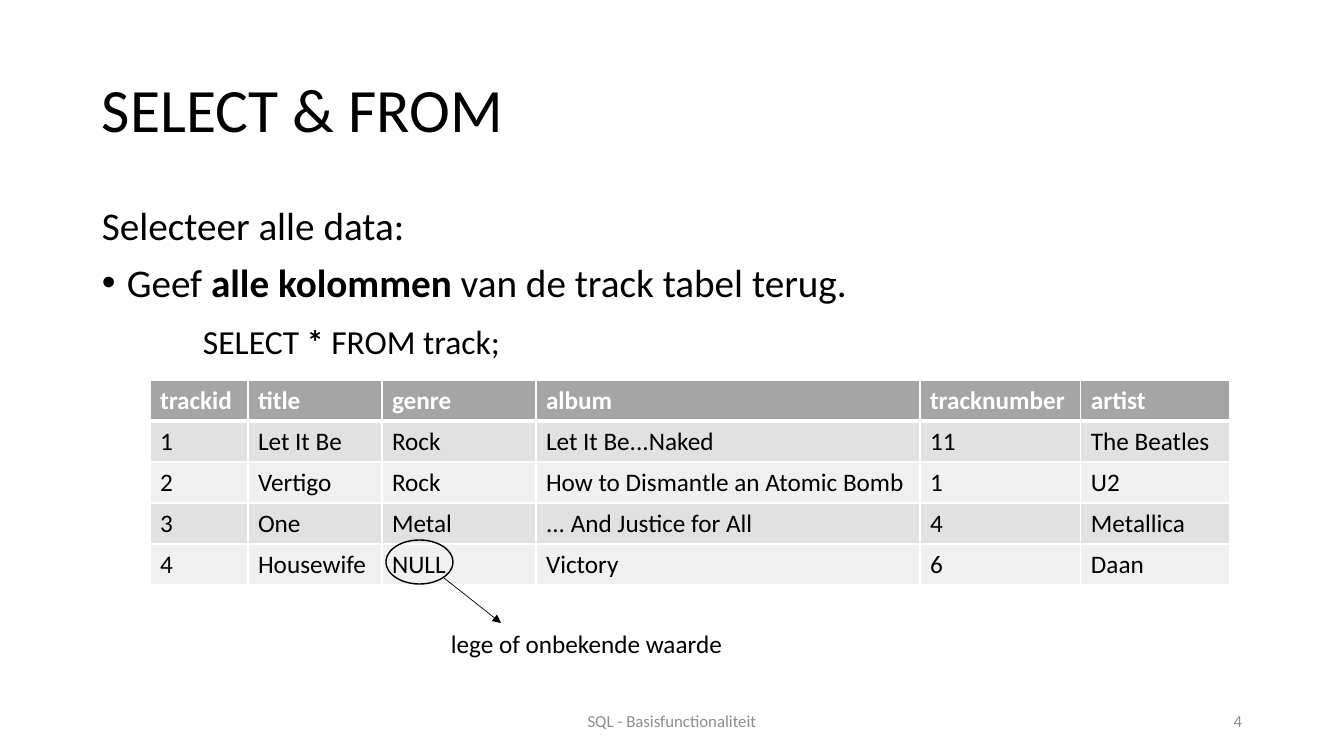
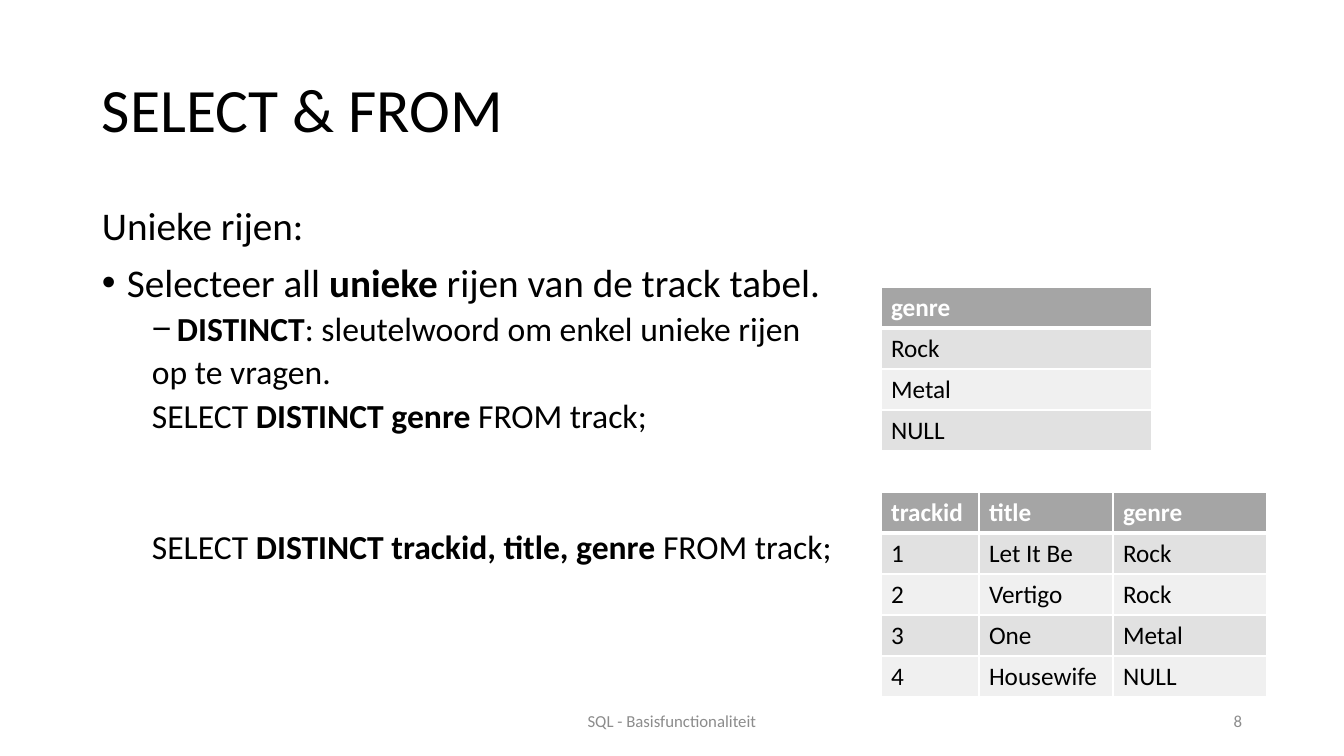
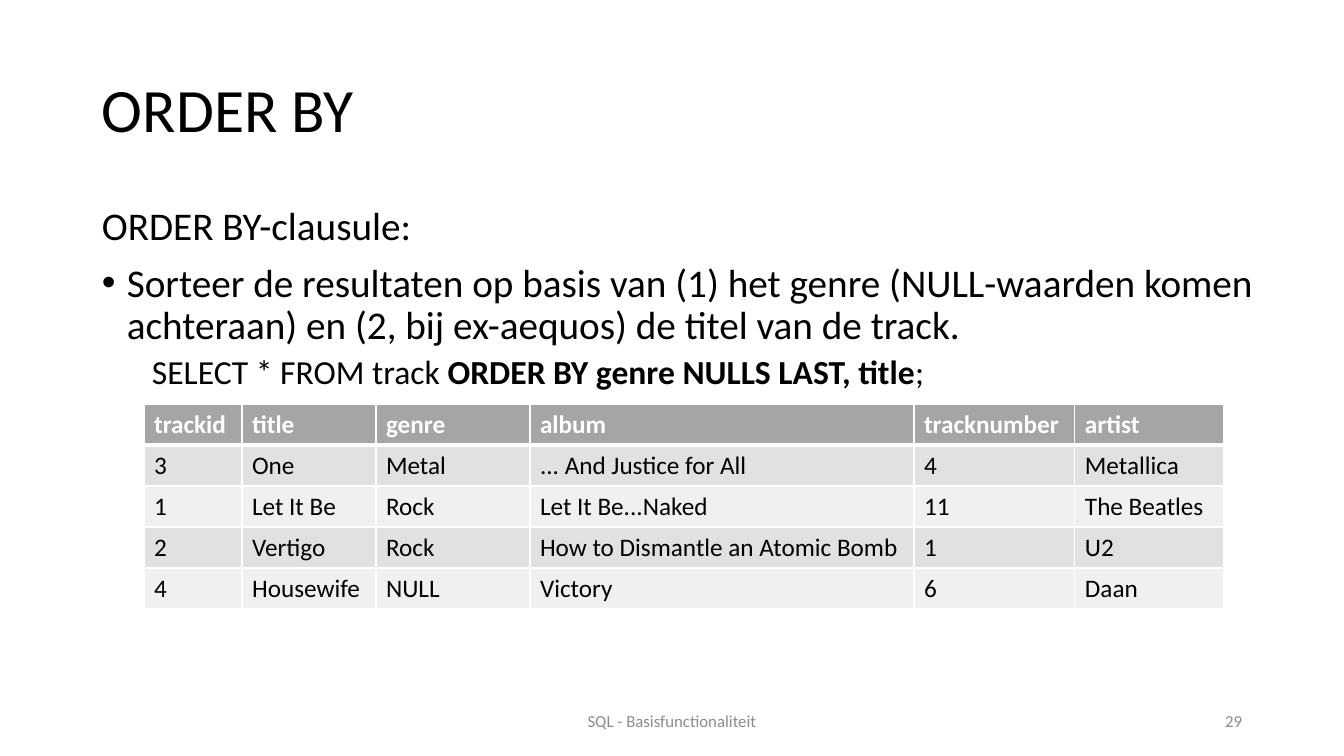
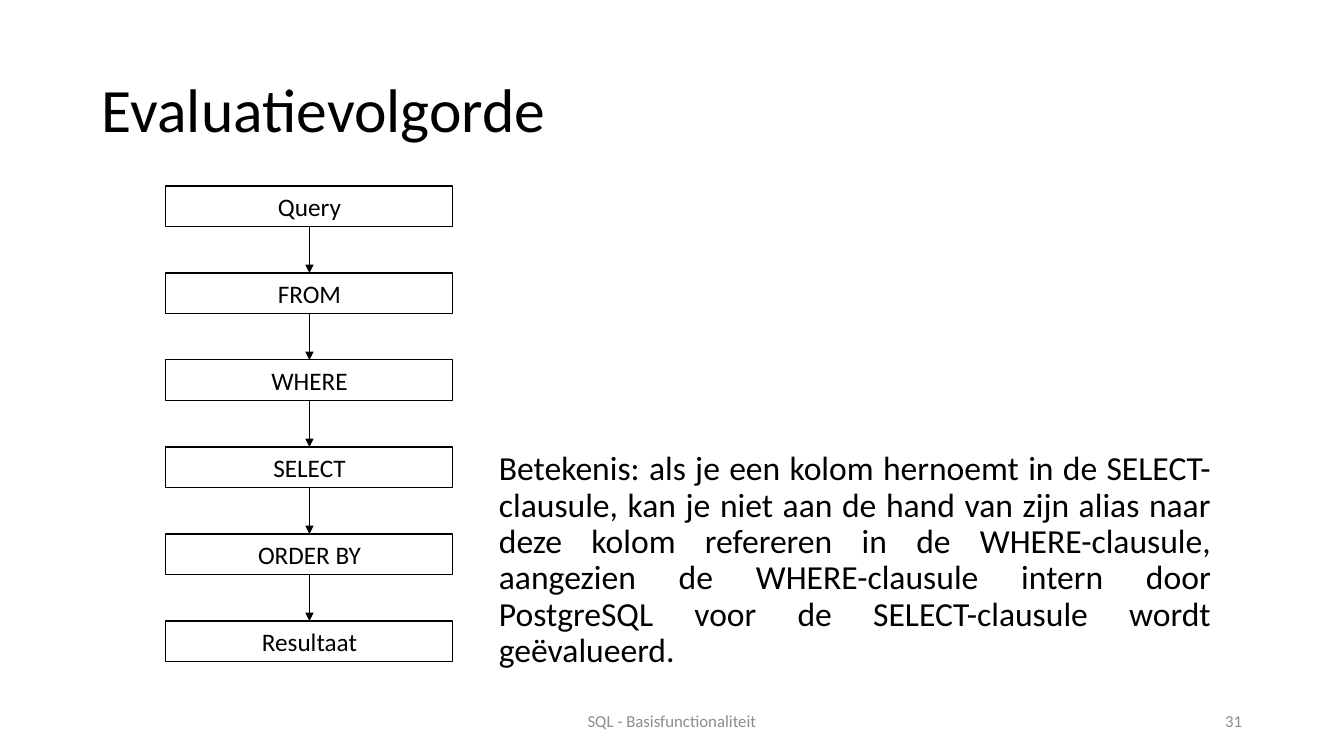
from itertools import pairwise

from lxml.etree import SubElement
from pptx import Presentation
from pptx.dml.color import RGBColor
from pptx.enum.shapes import MSO_CONNECTOR as Connector, MSO_SHAPE as Preset
from pptx.enum.text import MSO_ANCHOR as Anchor, PP_ALIGN as Align
from pptx.oxml.ns import qn
from pptx.util import Emu, Pt

FONT = "Calibri"
BLACK, WHITE, FOOTER_GREY = "000000", "FFFFFF", "8C8C8C"
HEADER_GREY, BANDS = "A5A5A5", ("E1E1E1", "F0F0F0")
FOOTER = "SQL - Basisfunctionaliteit"
TITLE_BOX = (92, 40, 1159, 146)
BODY_BOX = (92, 202, 1159, 480)
FOOTER_BOX = (445, 701, 454, 40)
NUMBER_BOX = (950, 701, 302, 40)
ROW_HEIGHT = 41
COLUMN_WIDTHS = (98, 134, 154, 384, 161, 149)
COLUMNS = ("trackid", "title", "genre", "album", "tracknumber", "artist")
TRACKS = (
    ("1", "Let It Be", "Rock", "Let It Be...Naked", "11", "The Beatles"),
    ("2", "Vertigo", "Rock", "How to Dismantle an Atomic Bomb", "1", "U2"),
    ("3", "One", "Metal", "... And Justice for All", "4", "Metallica"),
    ("4", "Housewife", "NULL", "Victory", "6", "Daan"),
)
STEPS = ("Query", "FROM", "WHERE", "SELECT", "ORDER BY", "Resultaat")
MEANING = (
    "Betekenis: als je een kolom hernoemt in de SELECT-clausule, kan je niet "
    "aan de hand van zijn alias naar deze kolom refereren in de WHERE-clausule, "
    "aangezien de WHERE-clausule intern door PostgreSQL voor de SELECT-clausule "
    "wordt geëvalueerd."
)


def px(length):
    """Turn a length in px into EMU."""
    return Emu(round(length * 914400 / 100.8))


def color(code):
    """Turn a hex string into a colour."""
    return RGBColor.from_string(code)


def style(run, size, ink=BLACK, bold=False):
    """Give a run its font."""
    run.font.name, run.font.size, run.font.bold = FONT, Pt(size), bold
    run.font.color.rgb = color(ink)


def write(frame, words, size, ink=BLACK, align=Align.LEFT, spacing=1.0):
    """Fill a text frame with one paragraph."""
    frame.text = words
    paragraph = frame.paragraphs[0]
    paragraph.alignment, paragraph.line_spacing = align, spacing
    style(paragraph.runs[0], size, ink)


def add_text(slide, box, words, size, anchor=Anchor.TOP, wrap=True, **look):
    """Place a text box with one paragraph."""
    frame = slide.shapes.add_textbox(*map(px, box)).text_frame
    frame.word_wrap, frame.vertical_anchor = wrap, anchor
    write(frame, words, size, **look)


def add_page(deck, title, number):
    """Add a slide with its title, footer and number."""
    slide = deck.slides.add_slide(deck.slide_layouts[6])
    add_text(slide, TITLE_BOX, title, 44, Anchor.MIDDLE, spacing=0.9)
    add_text(slide, FOOTER_BOX, FOOTER, 12, Anchor.MIDDLE, ink=FOOTER_GREY, align=Align.CENTER)
    add_text(slide, NUMBER_BOX, str(number), 12, Anchor.MIDDLE, ink=FOOTER_GREY, align=Align.RIGHT)
    return slide


def fill_line(paragraph, pieces, size=28, before=10, left=0, bullet=None):
    """Write a body line whose every second piece is bold."""
    paragraph.line_spacing, paragraph.space_before = 0.9, Pt(before)
    properties = paragraph._p.get_or_add_pPr()
    properties.set("marL", str(px(left)))
    properties.set("indent", str(px(-25 if bullet else 0)))
    if bullet:
        SubElement(properties, qn("a:buFont"), typeface="Arial")
        SubElement(properties, qn("a:buChar"), char=bullet)
    else:
        SubElement(properties, qn("a:buNone"))
    for index, piece in enumerate(pieces):
        if piece:
            run = paragraph.add_run()
            run.text = piece
            style(run, size, bold=index % 2 == 1)


def add_body(slide, intro, point, *details, box=BODY_BOX):
    """Place the intro, the bullet point and the detail lines."""
    frame = slide.shapes.add_textbox(*map(px, box)).text_frame
    frame.word_wrap = True
    fill_line(frame.paragraphs[0], [intro], before=0)
    fill_line(frame.add_paragraph(), point, left=25, bullet="•")
    for pieces, layout in details:
        fill_line(frame.add_paragraph(), pieces, **{"size": 24, "before": 5, "left": 50, **layout})


def add_border(cell, side, width):
    """Draw one white cell border."""
    edge = SubElement(cell._tc.get_or_add_tcPr(), qn(f"a:ln{side}"), w=str(Pt(width)))
    SubElement(SubElement(edge, qn("a:solidFill")), qn("a:srgbClr"), val=WHITE)


def add_grid(slide, left, top, header, rows, widths):
    """Place a table with a grey header and banded rows."""
    lines = [header, *rows]
    table = slide.shapes.add_table(
        len(lines), len(header), px(left), px(top), px(sum(widths)), px(ROW_HEIGHT * len(lines))
    ).table
    for column, width in zip(table.columns, widths):
        column.width = px(width)
    for r, line in enumerate(lines):
        table.rows[r].height = px(ROW_HEIGHT)
        for c, value in enumerate(line):
            cell = table.cell(r, c)
            for side, thick in (("L", False), ("R", False), ("T", r == 1), ("B", r == 0)):
                add_border(cell, side, 3 if thick else 1)
            cell.fill.solid()
            cell.fill.fore_color.rgb = color(BANDS[(r - 1) % 2] if r else HEADER_GREY)
            cell.text = value
            style(cell.text_frame.paragraphs[0].runs[0], 18, BLACK if r else WHITE, r == 0)


def add_outline(slide, preset, box, width):
    """Place an unfilled shape with a black line."""
    shape = slide.shapes.add_shape(preset, *map(px, box))
    shape.shadow.inherit = False
    shape.fill.background()
    shape.line.color.rgb, shape.line.width = color(BLACK), Pt(width)
    return shape


def add_arrow(slide, start, end):
    """Draw a thin black arrow."""
    arrow = slide.shapes.add_connector(Connector.STRAIGHT, *map(px, (*start, *end)))
    arrow.line.color.rgb, arrow.line.width = color(BLACK), Pt(0.5)
    SubElement(arrow.line._get_or_add_ln(), qn("a:tailEnd"), type="triangle")
    SubElement(arrow._element.spPr, qn("a:effectLst"))
    return arrow


def add_null_note(slide, left, top):
    """Circle the NULL value and explain it."""
    add_outline(slide, Preset.OVAL, (left, top, 67, 44), 1)
    add_text(slide, (left + 55, top + 83, 303, 40), "lege of onbekende waarde", 18, wrap=False)
    add_arrow(slide, (left + 58, top + 38), (left + 115, top + 83))


def add_flow(slide, left, top, width, height, pitch):
    """Stack the evaluation steps and join them with arrows."""
    boxes = []
    for index, step in enumerate(STEPS):
        box = add_outline(slide, Preset.RECTANGLE, (left, top + index * pitch, width, height), 0.75)
        write(box.text_frame, step, 18, align=Align.CENTER)
        boxes.append(box)
    for upper, lower in pairwise(boxes):
        arrow = add_arrow(slide, (left, top), (left, top))
        arrow.begin_connect(upper, 2)
        arrow.end_connect(lower, 0)


def select_all(deck):
    """Build the slide on selecting all data."""
    slide = add_page(deck, "SELECT & FROM", 4)
    add_body(
        slide, "Selecteer alle data:",
        ["Geef ", "alle kolommen", " van de track tabel terug."],
        (["SELECT ", "*", " FROM track;"], {"left": 101, "before": 14}),
    )
    add_grid(slide, 150, 380, COLUMNS, TRACKS, COLUMN_WIDTHS)
    add_null_note(slide, 386, 540)


def select_distinct(deck):
    """Build the slide on unique rows."""
    slide = add_page(deck, "SELECT & FROM", 8)
    add_body(
        slide, "Unieke rijen:",
        ["Selecteer all ", "unieke", " rijen van de track tabel."],
        (["", "DISTINCT", ": sleutelwoord om enkel unieke rijen"], {"left": 75, "bullet": "−"}),
        (["op te vragen."], {}),
        (["SELECT ", "DISTINCT genre", " FROM track;"], {}),
        (["SELECT ", "DISTINCT trackid, title, genre", " FROM track;"], {"before": 68}),
    )
    genres = dict.fromkeys(track[2] for track in TRACKS)
    add_grid(slide, 881, 287, ["genre"], [[genre] for genre in genres], [271])
    add_grid(slide, 881, 492, COLUMNS[:3], [track[:3] for track in TRACKS], COLUMN_WIDTHS[:3])


def order_by(deck):
    """Build the slide on sorting."""
    slide = add_page(deck, "ORDER BY", 29)
    add_body(
        slide, "ORDER BY-clausule:",
        ["Sorteer de resultaten op basis van (1) het genre (NULL-waarden komen "
         "achteraan) en (2, bij ex-aequos) de titel van de track."],
        (["SELECT * FROM track ", "ORDER BY genre NULLS LAST, title", ";"], {}),
        box=(92, 202, 1183, 480),
    )
    ordered = sorted(TRACKS, key=lambda track: (track[2] == "NULL", track[2], track[1]))
    add_grid(slide, 144, 404, COLUMNS, ordered, COLUMN_WIDTHS)


def evaluation_order(deck):
    """Build the slide on the evaluation order."""
    slide = add_page(deck, "Evaluatievolgorde", 31)
    add_flow(slide, 166, 186, 287, 41, 87)
    add_text(slide, (489, 447, 732, 240), MEANING, 24, align=Align.JUSTIFY, spacing=0.9)


def main():
    """Build and save the deck."""
    deck = Presentation()
    deck.slide_width, deck.slide_height = px(1344), px(756)
    for build in (select_all, select_distinct, order_by, evaluation_order):
        build(deck)
    deck.save("out.pptx")


if __name__ == "__main__":
    main()
